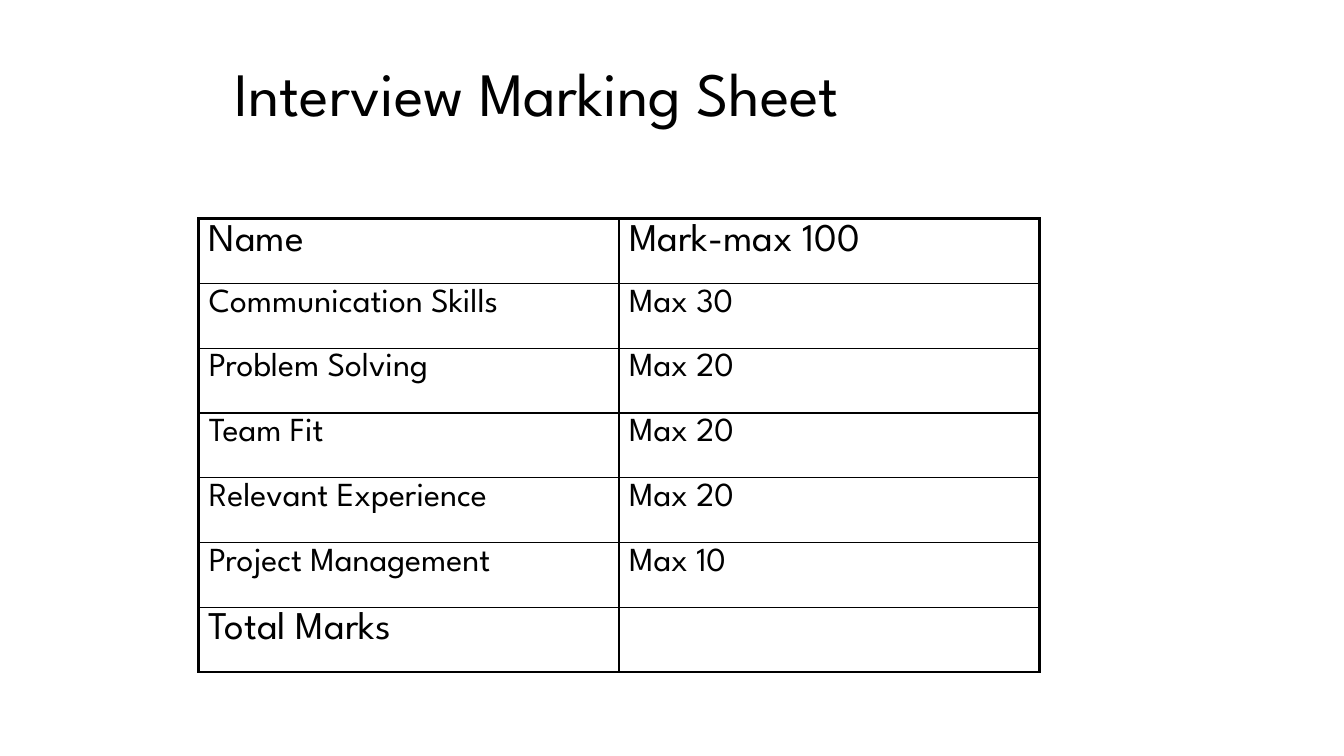
from lxml.etree import SubElement
from pptx import Presentation
from pptx.dml.color import RGBColor
from pptx.enum.text import MSO_ANCHOR
from pptx.oxml.ns import qn
from pptx.util import Cm, Pt

COLORS = {"ink": "000000", "paper": "FFFFFF"}
FONT = "League Spartan"
OUTER_WIDTH, INNER_WIDTH = Pt(2.25), Pt(1)
HEADING_SIZE, CRITERION_SIZE = 28, 24
MARKS = [
    ("Name", "Mark-max 100"),
    ("Communication Skills", "Max 30"),
    ("Problem Solving", "Max 20"),
    ("Team Fit", "Max 20"),
    ("Relevant Experience", "Max 20"),
    ("Project Management", "Max 10"),
    ("Total Marks", ""),
]


def style_paragraph(paragraph, size):
    paragraph.font.name = FONT
    paragraph.font.size = Pt(size)
    paragraph.font.color.rgb = RGBColor.from_string(COLORS["ink"])


def add_title(slide, text):
    box = slide.shapes.add_textbox(Cm(5.66), Cm(0.84), Cm(28.02), Cm(3.18))
    frame = box.text_frame
    frame.word_wrap = True
    frame.vertical_anchor = MSO_ANCHOR.MIDDLE
    paragraph = frame.paragraphs[0]
    paragraph.text = text
    paragraph.line_spacing = 0.9
    style_paragraph(paragraph, 44)


def add_border(cell, side, width):
    properties = cell._tc.get_or_add_tcPr()
    line = SubElement(properties, qn(f"a:ln{side}"), w=str(width))
    fill = SubElement(line, qn("a:solidFill"))
    SubElement(fill, qn("a:srgbClr"), val=COLORS["ink"])


def style_cell(cell, text, size, outer_sides):
    cell.text = text
    style_paragraph(cell.text_frame.paragraphs[0], size)
    for side in "LRTB":
        add_border(cell, side, OUTER_WIDTH if side in outer_sides else INNER_WIDTH)
    cell.fill.background()


def add_mark_table(slide, rows):
    last = len(rows) - 1
    frame = slide.shapes.add_table(
        len(rows), 2, Cm(5.01), Cm(5.51), Cm(21.18), Cm(11.43)
    )
    table = frame.table
    table.first_row = False
    table.horz_banding = False
    for row_index, row in enumerate(rows):
        size = HEADING_SIZE if row_index in (0, last) else CRITERION_SIZE
        row_sides = {0: "T", last: "B"}.get(row_index, "")
        for column_index, text in enumerate(row):
            outer_sides = row_sides + "LR"[column_index]
            style_cell(table.cell(row_index, column_index), text, size, outer_sides)


def main():
    presentation = Presentation()
    presentation.slide_width = Cm(33.87)
    presentation.slide_height = Cm(19.05)
    slide = presentation.slides.add_slide(presentation.slide_layouts[6])
    slide.background.fill.solid()
    slide.background.fill.fore_color.rgb = RGBColor.from_string(COLORS["paper"])
    add_title(slide, "Interview Marking Sheet")
    add_mark_table(slide, MARKS)
    presentation.save("out.pptx")


if __name__ == "__main__":
    main()
